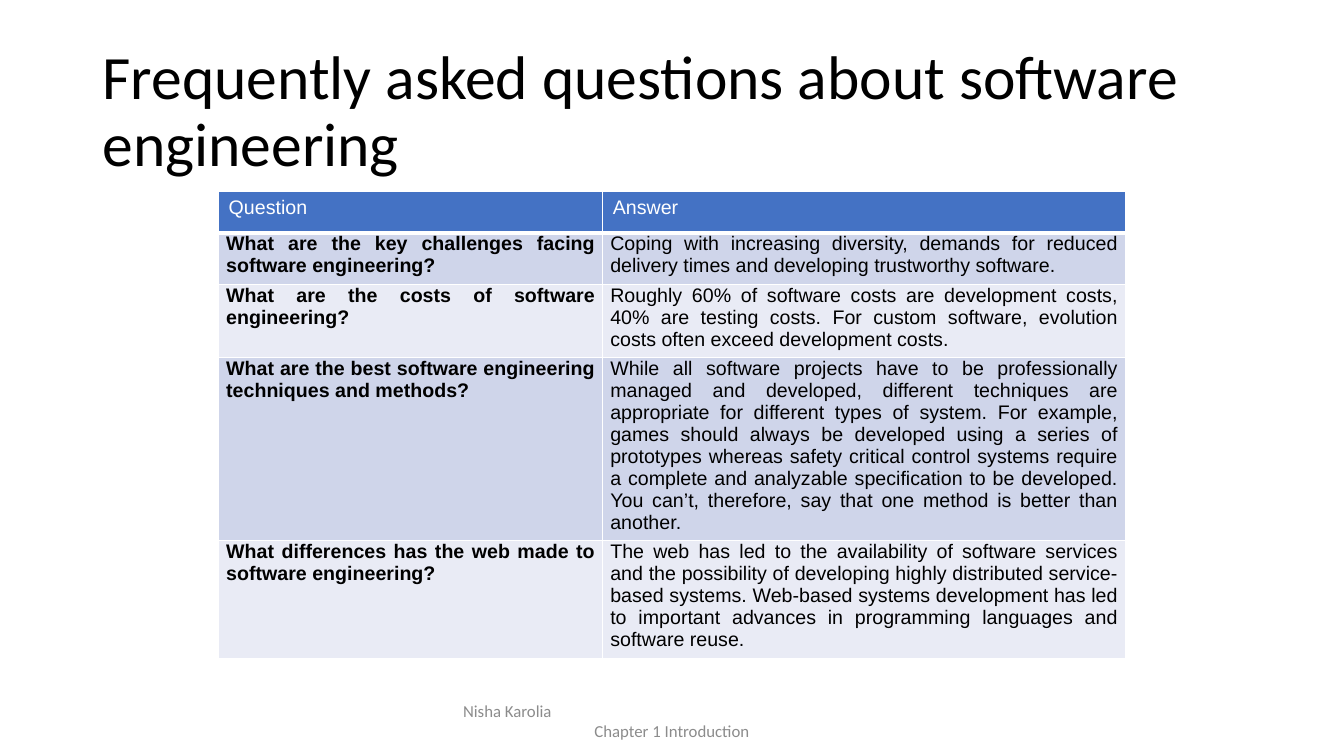
from dataclasses import dataclass

from lxml.etree import SubElement
from pptx import Presentation
from pptx.dml.color import RGBColor as Color
from pptx.enum.text import MSO_ANCHOR as Anchor, MSO_AUTO_SIZE as AutoSize, PP_ALIGN as Align
from pptx.oxml.ns import qn
from pptx.util import Cm, Pt


@dataclass(frozen=True)
class Theme:
    heading_font: str = "Calibri"
    table_font: str = "Arial"
    title_size: int = 44
    table_size: int = 14
    footer_size: int = 12
    black: str = "000000"
    white: str = "FFFFFF"
    grey: str = "8C8C8C"
    header: str = "4472C4"
    bands: tuple = ("CFD5EA", "E9EBF5")


THEME = Theme()

FAQ = [
    ("What are the key challenges facing software engineering?",
     "Coping with increasing diversity, demands for reduced delivery times and "
     "developing trustworthy software."),
    ("What are the costs of software engineering?",
     "Roughly 60% of software costs are development costs, 40% are testing costs. "
     "For custom software, evolution costs often exceed development costs."),
    ("What are the best software engineering techniques and methods?",
     "While all software projects have to be professionally managed and developed, "
     "different techniques are appropriate for different types of system. For example, "
     "games should always be developed using a series of prototypes whereas safety "
     "critical control systems require a complete and analyzable specification to be "
     "developed. You can’t, therefore, say that one method is better than another."),
    ("What differences has the web made to software engineering?",
     "The web has led to the availability of software services and the possibility of "
     "developing highly distributed service-based systems. Web-based systems development "
     "has led to important advances in programming languages and software reuse."),
]


def write(para, text, *, font, size, color, bold=False, align=Align.LEFT, spacing=None):
    """Add formatted text to a paragraph."""
    para.alignment = align
    if spacing:
        para.line_spacing = spacing
    span = para.add_run()
    span.text = text
    span.font.name = font
    span.font.size = Pt(size)
    span.font.bold = bold
    span.font.color.rgb = Color.from_string(color)


def set_borders(cell, bottom=1):
    """Draw white lines around a cell; they must precede its fill."""
    properties = cell._tc.get_or_add_tcPr()
    for side, width in (("L", 1), ("R", 1), ("T", 1), ("B", bottom)):
        line = SubElement(properties, qn(f"a:ln{side}"), w=str(Pt(width)))
        fill = SubElement(line, qn("a:solidFill"))
        SubElement(fill, qn("a:srgbClr"), val=THEME.white)


def fill_cell(cell, text, fill, *, border=1, **text_format):
    set_borders(cell, border)
    cell.fill.solid()
    cell.fill.fore_color.rgb = Color.from_string(fill)
    write(cell.text_frame.paragraphs[0], text, font=THEME.table_font,
          size=THEME.table_size, **text_format)


def add_title(page, text):
    title = page.shapes.title
    title.left, title.top, title.width, title.height = Cm(2.33), Cm(1.01), Cm(29.21), Cm(3.68)
    frame = title.text_frame
    frame.auto_size = AutoSize.NONE
    frame.vertical_anchor = Anchor.MIDDLE
    write(frame.paragraphs[0], text, font=THEME.heading_font, size=THEME.title_size,
          color=THEME.black, spacing=0.9)


def add_faq_table(page):
    holder = page.shapes.add_table(len(FAQ) + 1, 2, Cm(5.51), Cm(4.83), Cm(22.86), Cm(12.47))
    table = holder.table
    for column, width in zip(table.columns, (9.68, 13.18)):
        column.width = Cm(width)
    for row in table.rows:
        row.height = Cm(1.04)  # rows grow with their text

    # Header row
    for cell, text in zip(table.rows[0].cells, ("Question", "Answer")):
        fill_cell(cell, text, THEME.header, border=3, color=THEME.white)

    # Questions and answers, in alternating bands
    for index, entry in enumerate(FAQ):
        for column, text in enumerate(entry):
            cell = table.cell(index + 1, column)
            cell.margin_left = cell.margin_right = Cm(0.19)
            cell.margin_top, cell.margin_bottom = Cm(0), Cm(0.18)
            fill_cell(cell, text, THEME.bands[index % 2], color=THEME.black,
                      bold=column == 0, align=Align.JUSTIFY)


def add_footer(page, author, chapter):
    box = page.shapes.add_textbox(Cm(11.22), Cm(17.65), Cm(11.43), Cm(1.02))
    frame = box.text_frame
    frame.word_wrap = True
    frame.vertical_anchor = Anchor.MIDDLE
    lines = ((frame.paragraphs[0], author, Align.LEFT),
             (frame.add_paragraph(), chapter, Align.CENTER))
    for para, text, align in lines:
        write(para, text, font=THEME.heading_font, size=THEME.footer_size,
              color=THEME.grey, align=align)
    lines[0][0]._p.get_or_add_pPr().set("marL", str(Cm(0.2)))


def main():
    deck = Presentation()
    deck.slide_width, deck.slide_height = Cm(33.87), Cm(19.05)
    page = deck.slides.add_slide(deck.slide_layouts.get_by_name("Title Only"))
    add_title(page, "Frequently asked questions about software engineering")
    add_faq_table(page)
    add_footer(page, "Nisha Karolia", "Chapter 1 Introduction")
    deck.save("out.pptx")


if __name__ == "__main__":
    main()
